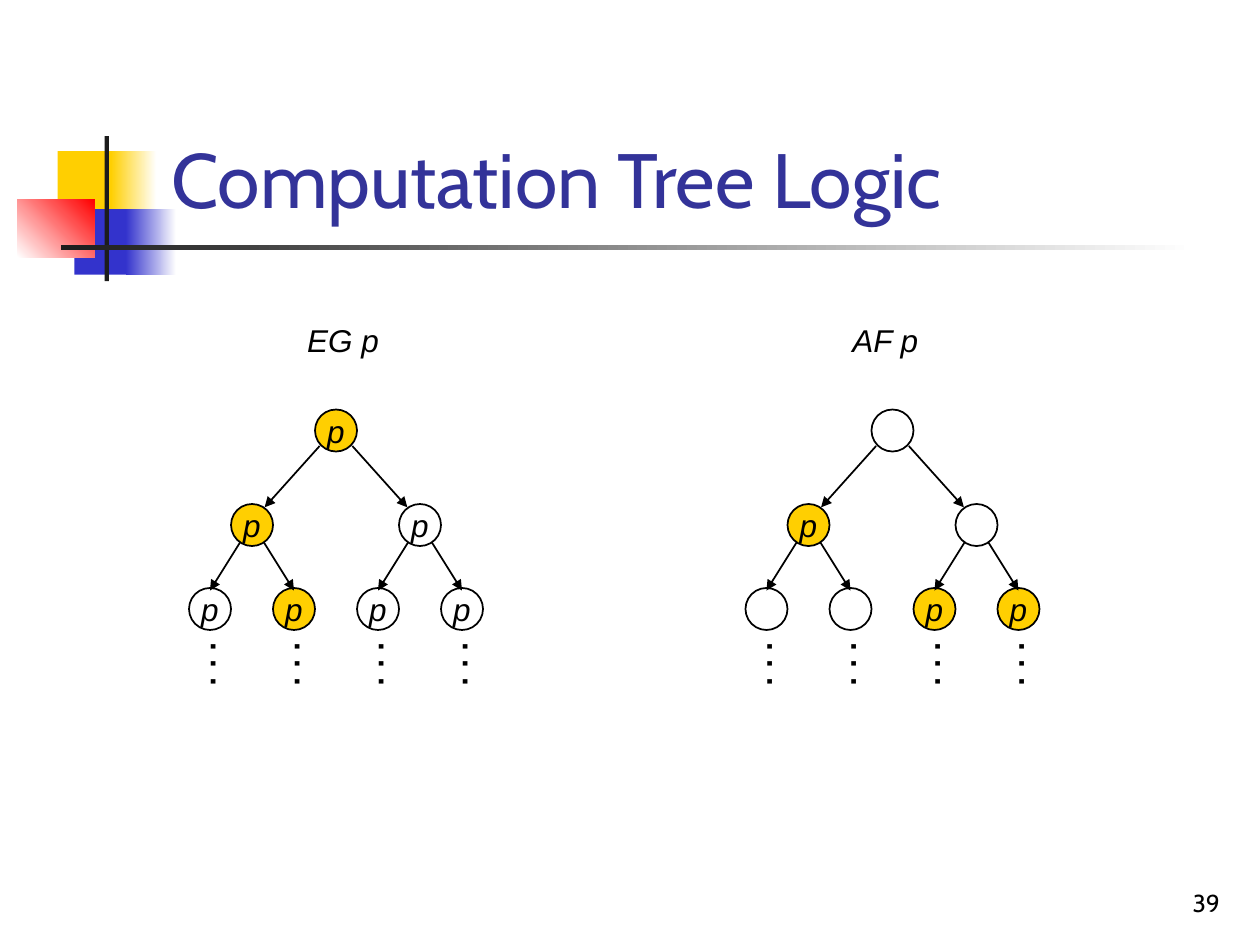
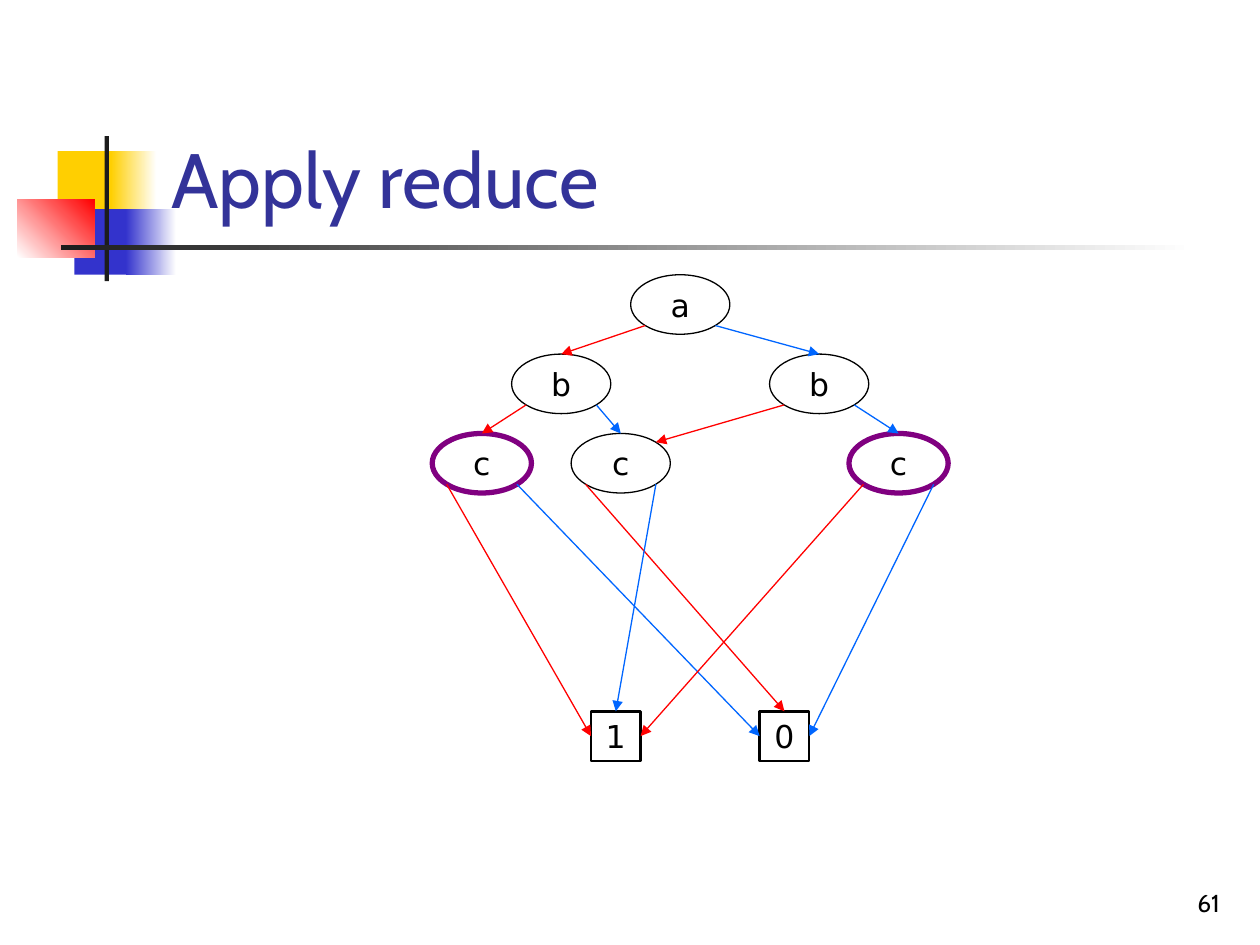
"""Build two slides on temporal logic trees and decision diagrams."""
from lxml import etree
from pptx import Presentation
from pptx.dml.color import RGBColor
from pptx.enum.shapes import MSO_CONNECTOR, MSO_SHAPE
from pptx.enum.text import MSO_ANCHOR, MSO_AUTO_SIZE, PP_ALIGN
from pptx.oxml.ns import qn
from pptx.util import Pt

RECT, OVAL = MSO_SHAPE.RECTANGLE, MSO_SHAPE.OVAL
LINE = MSO_CONNECTOR.STRAIGHT
LEFT, MID, RIGHT = PP_ALIGN.LEFT, PP_ALIGN.CENTER, PP_ALIGN.RIGHT
TOP, CENTER, BOTTOM = MSO_ANCHOR.TOP, MSO_ANCHOR.MIDDLE, MSO_ANCHOR.BOTTOM
NO_FIT = MSO_AUTO_SIZE.NONE

BLACK, WHITE, INK, GOLD = "000000", "FFFFFF", "1C1C1C", "FFCF01"
NAVY, BLUE, RED = "333399", "3333CC", "FF0000"
SKY, PURPLE = "0066FF", "800080"
HEAD, SANS, CODE = "Cabin", "Arial", "DejaVu Sans"

BANDS = [
    (33, 86.4, 34.6, 37.4, [GOLD], 0),
    (63.4, 86.4, 26, 37.4, [GOLD, WHITE], 0),
    (42.5, 119.5, 33, 37.4, [BLUE], 0),
    (72, 119.5, 28.8, 37.4, [BLUE, WHITE], 0),
    (10, 113.8, 44, 33.2, [WHITE, RED], 45),
    (59.8, 77.8, 2.4, 82.8, [INK], 0),
    (34.6, 140.2, 648, 2.4, [INK, WHITE], 0),
]
SW, SE = (0.146, 0.854), (0.854, 0.854)
N, NE, W, E = (0.5, 0), (0.854, 0.146), (0, 0.5), (1, 0.5)


def rgb(code):
    """Turn a hex string into a colour."""
    return RGBColor.from_string(code)


def write(shape, text, size, font, color=BLACK, align=LEFT, anchor=TOP,
          wrap=False, bold=False, slant=False):
    """Fill a shape with one formatted paragraph."""
    frame = shape.text_frame
    frame.text = text
    frame.word_wrap = wrap
    frame.auto_size = NO_FIT
    frame.vertical_anchor = anchor
    para = frame.paragraphs[0]
    para.alignment = align
    para.font.size, para.font.name = Pt(size), font
    para.font.bold, para.font.italic = bold, slant
    para.font.color.rgb = rgb(color)


def label(slide, box, text, size, font, **style):
    """Add a text box and return it."""
    shape = slide.shapes.add_textbox(*map(Pt, box))
    write(shape, text, size, font, **style)
    return shape


def node(slide, kind, box, fill, line, width):
    """Add an outlined shape, hollow if it has no fill."""
    shape = slide.shapes.add_shape(kind, *map(Pt, box))
    shape.shadow.inherit = False
    if fill:
        shape.fill.solid()
        shape.fill.fore_color.rgb = rgb(fill)
    else:
        shape.fill.background()
    shape.line.color.rgb = rgb(line)
    shape.line.width = Pt(width)
    return shape


def pin(shape, spot):
    """Give the point at a fraction of a shape's width and height."""
    return (int(shape.left + spot[0] * shape.width),
            int(shape.top + spot[1] * shape.height))


def link(slide, start, leave, end, reach, color, width):
    """Draw an arrow from a spot on one shape to a spot on another."""
    arrow = slide.shapes.add_connector(LINE, *pin(start, leave), *pin(end, reach))
    arrow.line.color.rgb = rgb(color)
    arrow.line.width = Pt(width)
    props = arrow._element.spPr
    etree.SubElement(props.find(qn("a:ln")), qn("a:tailEnd"), type="triangle")
    etree.SubElement(props, qn("a:effectLst"))


def dress(layout, slide):
    """Draw the corner blocks and rule, then move them to the layout."""
    for num, (*box, tones, angle) in enumerate(BANDS, 20):
        band = slide.shapes.add_shape(RECT, *map(Pt, box))
        band.shadow.inherit = False
        band.line.fill.background()
        if len(tones) == 1:
            band.fill.solid()
            band.fill.fore_color.rgb = rgb(tones[0])
        else:
            band.fill.gradient()
            band.fill.gradient_angle = angle
            for stop, tone in zip(band.fill.gradient_stops, tones):
                stop.color.rgb = rgb(tone)
        band._element.nvSpPr.cNvPr.set("id", str(num))
        layout.shapes._spTree.append(band._element)


def start(deck, title, number):
    """Add a slide with its title and page number."""
    slide = deck.slides.add_slide(deck.slide_layouts[5])
    head = slide.shapes.title
    head.left, head.top, head.width, head.height = map(Pt, (90.7, 16.6, 613.4, 115.2))
    write(head, title, 44, HEAD, NAVY, anchor=BOTTOM, wrap=True)
    label(slide, (554.4, 491.8, 149.8, 36), number, 14, HEAD,
          align=RIGHT, anchor=BOTTOM, wrap=True)
    return slide


def tree(slide, left, top, name, shift, gold, marked):
    """Draw a binary tree of seven states, numbered level by level."""
    label(slide, (left + shift, top, 55, 29), name, 18, SANS, slant=True)
    spots = [(72, 54), (24, 108), (120, 108)] + [(48 * i, 156) for i in range(4)]
    states = []
    for i, (x, y) in enumerate(spots):
        fill = GOLD if i in gold else WHITE
        state = node(slide, OVAL, (left + x, top + y, 24, 24), fill, BLACK, 1)
        if i in marked:
            write(state, "p", 18, SANS, align=MID, anchor=CENTER, slant=True)
        states.append(state)
    for i in range(1, 7):
        side = 1 if i % 2 == 0 else -1
        if i < 3:
            leave, reach = (0.5 + 0.39 * side, 0.87), (0.5 - 0.3 * side, 0.08)
        else:
            leave, reach = (0.5 + 0.28 * side, 0.91), (0.5, 0.06)
        link(slide, states[(i - 1) // 2], leave, states[i], reach, BLACK, 1)
    for x, y in spots[3:]:
        dots = label(slide, (left + x, top + y + 29, 39, 29), ". . .", 18, SANS,
                     bold=True)
        dots.rotation = 90


def graph(slide, left, top, unit):
    """Draw the decision diagram on a grid of the given unit."""
    ovals = {
        "a": (10, 0, BLACK, 0.75), "b1": (4, 4, BLACK, 0.75),
        "b2": (17, 4, BLACK, 0.75), "c1": (0, 8, PURPLE, 3),
        "c2": (7, 8, BLACK, 0.75), "c3": (21, 8, PURPLE, 3),
    }
    ends = {"1": (8, 22, BLACK, 1.5), "0": (16.5, 22, BLACK, 1.5)}
    nodes = {}
    for kind, wide, high, group in ((OVAL, 5, 3, ovals), (RECT, 2.5, 2.5, ends)):
        for key, (col, row, color, width) in group.items():
            box = (left + col * unit, top + row * unit, wide * unit, high * unit)
            nodes[key] = node(slide, kind, box, None, color, width)
            write(nodes[key], key[0], 18, CODE, align=MID, anchor=CENTER)
    links = [
        ("a", "b1", N, "b2", N), ("b1", "c1", N, "c2", N),
        ("b2", "c2", NE, "c3", N), ("c1", "1", W, "0", W),
        ("c2", "0", N, "1", N), ("c3", "1", E, "0", E),
    ]
    for key, low, low_pin, high, high_pin in links:
        link(slide, nodes[key], SW, nodes[low], low_pin, RED, 0.75)
        link(slide, nodes[key], SE, nodes[high], high_pin, SKY, 0.75)


def main():
    """Build and save the deck."""
    deck = Presentation()
    deck.slide_width, deck.slide_height = Pt(720), Pt(540)
    logic = start(deck, "Computation Tree Logic", "39")
    dress(deck.slide_layouts[5], logic)
    tree(logic, 108, 180, "EG p", 60.5, {0, 1, 4}, range(7))
    tree(logic, 426, 180, "AF p", 54, {1, 5, 6}, {1, 5, 6})
    graph(start(deck, "Apply reduce", "61"), 247, 157, 11.34)
    deck.save("out.pptx")


if __name__ == "__main__":
    main()
